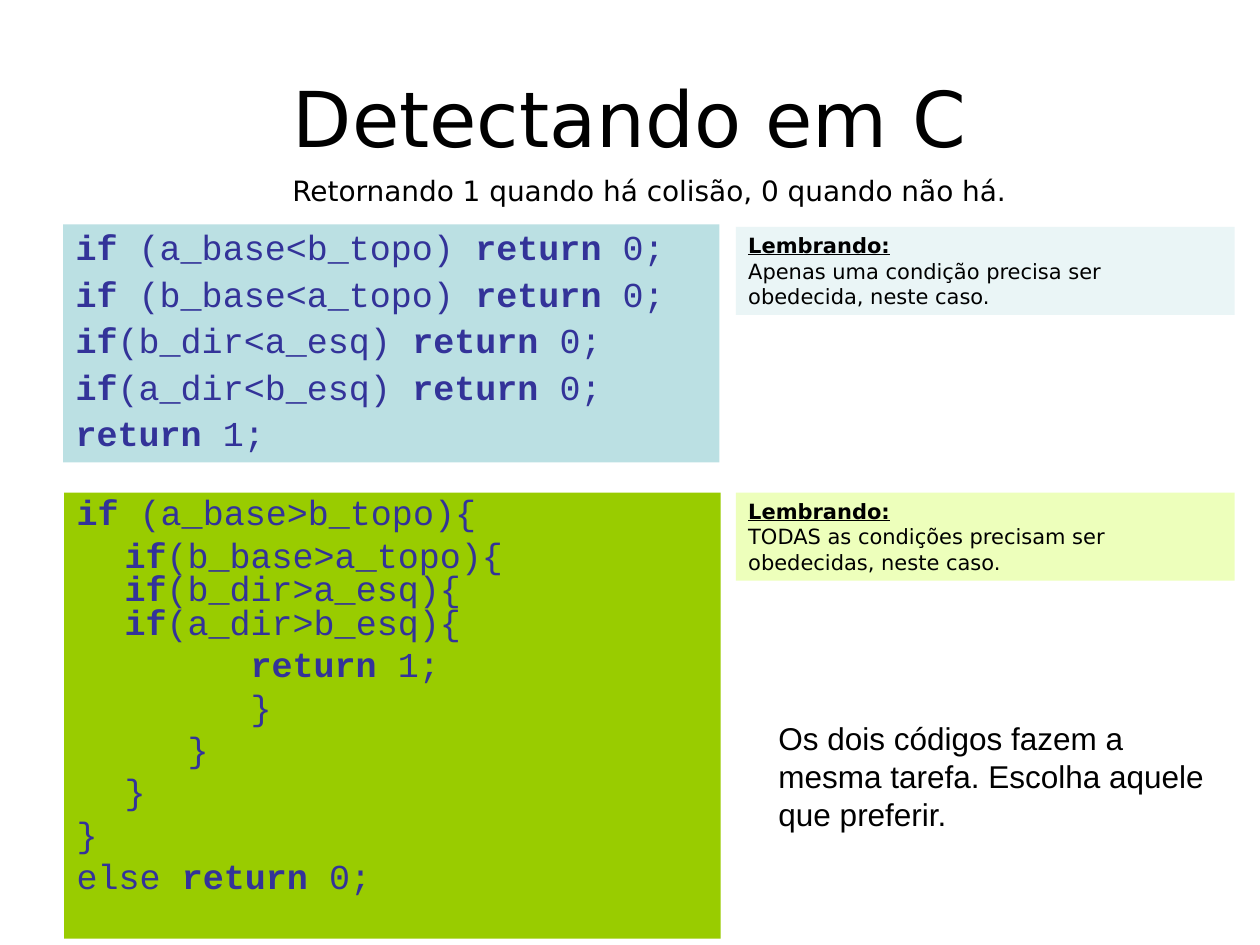
from lxml.etree import SubElement
from pptx import Presentation
from pptx.dml.color import RGBColor
from pptx.enum.shapes import MSO_SHAPE
from pptx.enum.text import MSO_ANCHOR, MSO_AUTO_SIZE, PP_ALIGN
from pptx.oxml.ns import qn
from pptx.util import Inches, Pt


def color(value):
    return RGBColor.from_string(value)


class SlideBuilder:
    code_format = {"name": "Courier New", "size": Pt(20), "color": "333399"}
    note_format = {"name": "DejaVu Sans", "size": Pt(12), "color": "000000"}
    subtitle_format = {**note_format, "size": Pt(16)}
    title_format = {**note_format, "size": Pt(44)}
    comment_format = {"name": "Arial", "size": Pt(18), "color": "000000"}
    hanging_indent = Inches(0.38)
    tab_count = 8

    def __init__(self, presentation):
        self.slide = presentation.slides.add_slide(presentation.slide_layouts[1])

    def place(self, shape, position):
        for name, value in zip(("left", "top", "width", "height"), position):
            setattr(shape, name, Inches(value))

    def fill(self, shape, fill_color):
        shape.fill.solid()
        shape.fill.fore_color.rgb = color(fill_color)

    def rectangle(self, position, fill_color):
        shape = self.slide.shapes.add_shape(
            MSO_SHAPE.RECTANGLE, *map(Inches, position))
        shape.shadow.inherit = False
        shape.line.fill.background()
        self.fill(shape, fill_color)
        return shape

    def prepare_frame(self, shape, anchor=MSO_ANCHOR.TOP):
        settings = {"word_wrap": True, "auto_size": MSO_AUTO_SIZE.NONE,
                    "vertical_anchor": anchor}
        for name, value in settings.items():
            setattr(shape.text_frame, name, value)
        return shape.text_frame

    def add_run(self, paragraph, text, text_format, **extra):
        run = paragraph.add_run()
        run.text = text
        for name, value in {**text_format, **extra}.items():
            if name == "color":
                run.font.color.rgb = color(value)
            else:
                setattr(run.font, name, value)

    def paragraphs(self, frame, count):
        return [frame.paragraphs[0]] + [
            frame.add_paragraph() for _ in range(count - 1)]

    def title(self, text, position):
        shape = self.slide.shapes.title
        self.place(shape, position)
        paragraph = self.prepare_frame(shape, MSO_ANCHOR.MIDDLE).paragraphs[0]
        paragraph.alignment = PP_ALIGN.CENTER
        self.add_run(paragraph, text, self.title_format)

    def text(self, text, position, text_format, alignment=PP_ALIGN.LEFT):
        shape = self.slide.shapes.add_textbox(*map(Inches, position))
        paragraph = self.prepare_frame(shape).paragraphs[0]
        paragraph.alignment = alignment
        self.add_run(paragraph, text, text_format)

    def note(self, text, position, fill_color):
        frame = self.prepare_frame(self.rectangle(position, fill_color))
        heading, body = self.paragraphs(frame, 2)
        heading.alignment = body.alignment = PP_ALIGN.LEFT
        self.add_run(heading, "Lembrando:", self.note_format,
                     bold=True, underline=True)
        self.add_run(body, text, self.note_format)

    def code(self, shape, lines, line_spacing):
        frame = self.prepare_frame(shape)
        for paragraph, line in zip(self.paragraphs(frame, len(lines)), lines):
            settings = {"alignment": PP_ALIGN.LEFT, "space_before": Pt(5),
                        "line_spacing": line_spacing}
            for name, value in settings.items():
                setattr(paragraph, name, value)
            self.indent(paragraph)
            for index, part in enumerate(line.split("*")):
                if part:
                    self.add_run(paragraph, part, self.code_format,
                                 bold=index % 2 == 1)

    def indent(self, paragraph):
        properties = paragraph._p.get_or_add_pPr()
        properties.set("marL", str(self.hanging_indent))
        properties.set("indent", str(-self.hanging_indent))
        SubElement(properties, qn("a:buNone"))
        tabs = SubElement(properties, qn("a:tabLst"))
        for inch in range(self.tab_count):
            SubElement(tabs, qn("a:tab"), pos=str(Inches(inch)), algn="l")

    def body_code(self, lines, position, fill_color, line_spacing):
        shape = self.slide.placeholders[1]
        self.place(shape, position)
        self.fill(shape, fill_color)
        self.code(shape, lines, line_spacing)

    def box_code(self, lines, position, fill_color, line_spacing):
        self.code(self.rectangle(position, fill_color), lines, line_spacing)


def main():
    presentation = Presentation()
    presentation.slide_width = Inches(10)
    presentation.slide_height = Inches(7.5)
    builder = SlideBuilder(presentation)

    builder.title("Detectando em C", (0.5, 0.3, 9, 1.25))
    builder.body_code([
        "*if* (a_base<b_topo) *return* 0;",
        "*if* (b_base<a_topo) *return* 0;",
        "*if*(b_dir<a_esq) *return* 0;",
        "*if*(a_dir<b_esq) *return* 0;",
        "*return* 1;",
    ], (0.5, 1.78, 5.21, 1.89), "BBE0E3", 0.9)
    builder.note("Apenas uma condição precisa ser obedecida, neste caso.",
                 (5.84, 1.8, 3.96, 0.7), "EAF5F6")
    builder.box_code([
        "*if* (a_base>b_topo){",
        "*\tif*(b_base>a_topo){ \t*if*(b_dir>a_esq){ \t\t\t\t*if*(a_dir>b_esq){",
        "*\t\t\treturn* 1;",
        "\t\t\t}",
        "\t\t}",
        "\t}",
        "}",
        "else *return* 0;",
    ], (0.51, 3.91, 5.21, 3.54), "99CC00", 0.8)
    builder.note("TODAS as condições precisam ser obedecidas, neste caso.",
                 (5.84, 3.91, 3.96, 0.7), "EDFFBB")
    builder.text("Retornando 1 quando há colisão, 0 quando não há.",
                 (0.51, 1.33, 9.29, 0.37), builder.subtitle_format,
                 PP_ALIGN.CENTER)
    builder.text("Os dois códigos fazem a mesma tarefa. "
                 "Escolha aquele que preferir.",
                 (6.08, 5.66, 3.65, 1), builder.comment_format)
    presentation.save("out.pptx")


if __name__ == "__main__":
    main()
